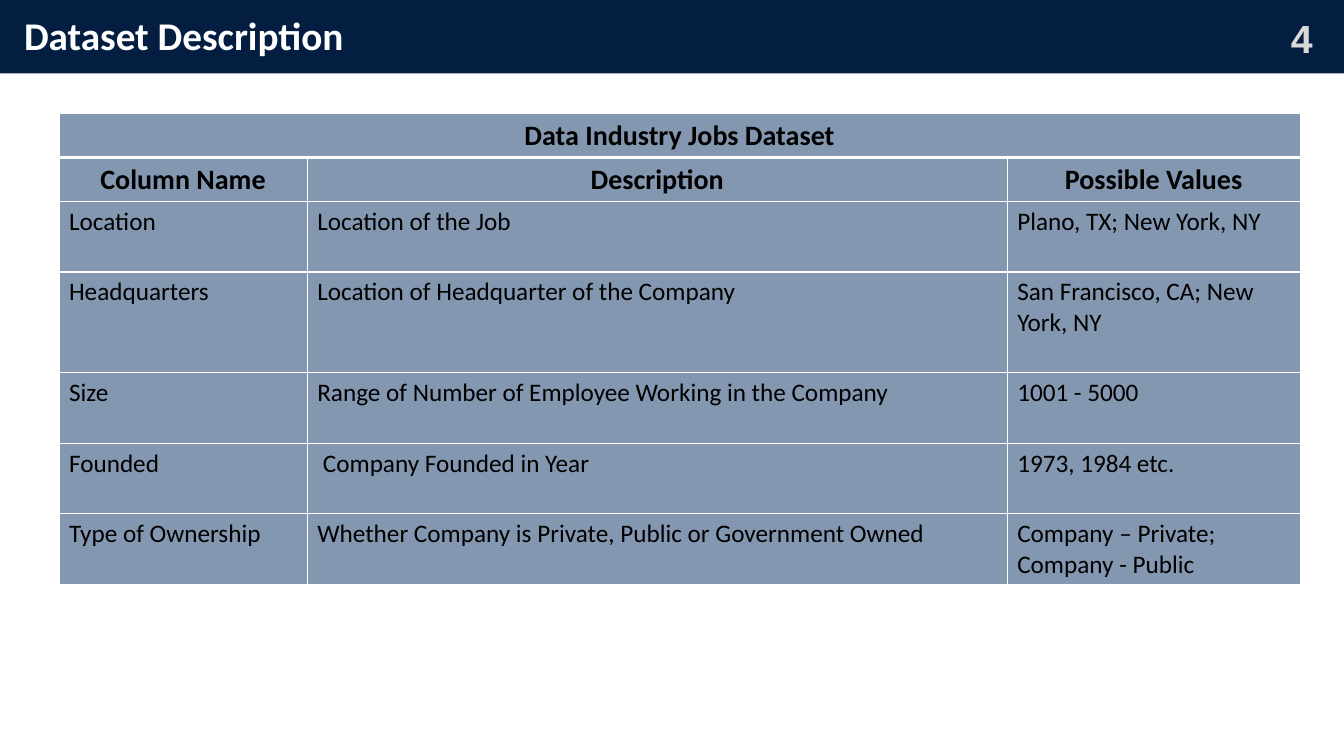
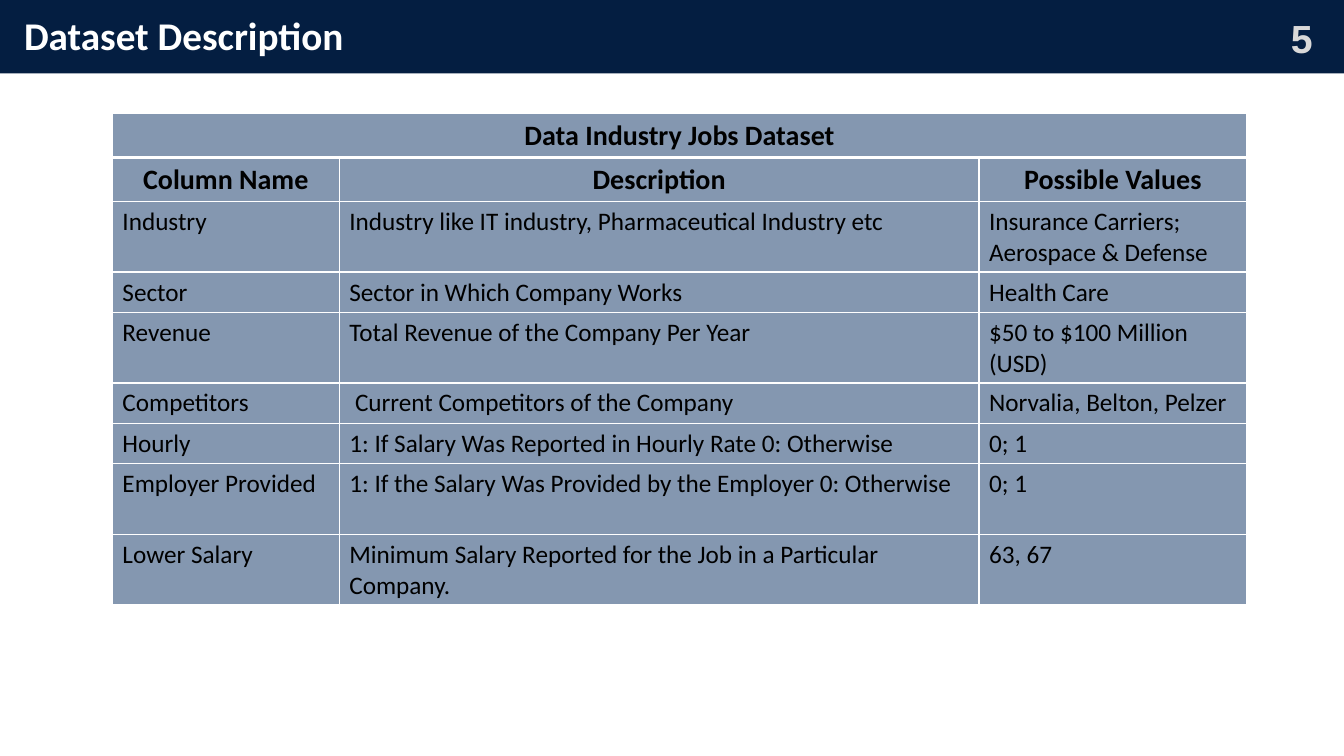
from dataclasses import dataclass

from lxml.etree import SubElement
from pptx import Presentation
from pptx.dml.color import RGBColor
from pptx.enum.shapes import MSO_SHAPE
from pptx.enum.text import MSO_ANCHOR, PP_ALIGN
from pptx.oxml.ns import qn
from pptx.util import Inches, Pt


@dataclass(frozen=True)
class Theme:
    band: str = "041E41"
    title: str = "FFFFFF"
    number: str = "D9D9D9"
    cell: str = "8497B0"
    rule: str = "FFFFFF"
    ink: str = "000000"
    font: str = "Calibri"
    number_font: str = "Arial"
    title_size: int = 28
    heading_size: int = 20
    body_size: int = 18
    thin: int = 1
    thick: int = 3


THEME = Theme()
SLIDE_W, SLIDE_H = 13.33, 7.5
BAND_H = 0.73
TABLE_TOP, TABLE_CENTER = 1.13, 6.74
COLUMN_SHARES = (0.2, 0.564, 0.236)
HEADING_H, LINE_H, CELL_PADDING = 0.43, 0.3, 0.1

TITLE = "Dataset Description"
CAPTION = "Data Industry Jobs Dataset"
HEADINGS = ("Column Name", "Description", "Possible Values")

# Each entry: the table's width, then rows of (lines of height, *cell texts)
PAGES = {
    4: (12.31, [
        (2, "Location", "Location of the Job", "Plano, TX; New York, NY"),
        (3, "Headquarters", "Location of Headquarter of the Company",
         "San Francisco, CA; New York, NY"),
        (2, "Size", "Range of Number of Employee Working in the Company",
         "1001 - 5000"),
        (2, "Founded", " Company Founded in Year", "1973, 1984 etc."),
        (2, "Type of Ownership",
         "Whether Company is Private, Public or Government Owned",
         "Company – Private;\nCompany - Public"),
    ]),
    5: (11.25, [
        (2, "Industry", "Industry like IT industry, Pharmaceutical Industry etc",
         "Insurance Carriers; Aerospace & Defense"),
        (1, "Sector", "Sector in Which Company Works", "Health Care"),
        (2, "Revenue", "Total Revenue of the Company Per Year",
         "$50 to $100 Million (USD)"),
        (1, "Competitors", " Current Competitors of the Company",
         "Norvalia, Belton, Pelzer"),
        (1, "Hourly", "1: If Salary Was Reported in Hourly Rate 0: Otherwise",
         "0; 1"),
        (2, "Employer Provided",
         "1: If the Salary Was Provided by the Employer 0: Otherwise", "0; 1"),
        (2, "Lower Salary",
         "Minimum Salary Reported for the Job in a Particular Company.",
         "63, 67"),
    ]),
}


def write_text(frame, text, size, color=THEME.ink, font=THEME.font, bold=False,
               align=PP_ALIGN.LEFT, spacing=None):
    """Fill a text frame, one paragraph for each line of text."""
    frame.word_wrap = True
    for index, line in enumerate(text.split("\n")):
        paragraph = frame.add_paragraph() if index else frame.paragraphs[0]
        paragraph.alignment = align
        paragraph.line_spacing = spacing
        run = paragraph.add_run()
        run.text = line
        run.font.size = Pt(size)
        run.font.name = font
        run.font.bold = bold
        run.font.color.rgb = RGBColor.from_string(color)


def add_label(slide, left, top, width, height, text, **text_format):
    label = slide.shapes.add_textbox(*map(Inches, (left, top, width, height)))
    label.text_frame.vertical_anchor = MSO_ANCHOR.MIDDLE
    write_text(label.text_frame, text, size=THEME.title_size, bold=True,
               **text_format)


def add_header(slide, number):
    band = slide.shapes.add_shape(MSO_SHAPE.RECTANGLE, 0, 0,
                                  Inches(SLIDE_W), Inches(BAND_H))
    band.shadow.inherit = False
    band.fill.solid()
    band.fill.fore_color.rgb = RGBColor.from_string(THEME.band)
    band.line.fill.background()
    add_label(slide, 12.49, 0.09, 0.84, 0.57, str(number), color=THEME.number,
              font=THEME.number_font, align=PP_ALIGN.CENTER)
    add_label(slide, 0.14, 0.11, 12.37, 0.53, TITLE, color=THEME.title,
              spacing=0.9)


def set_borders(cell, top, bottom):
    properties = cell._tc.get_or_add_tcPr()
    widths = {"lnL": THEME.thin, "lnR": THEME.thin, "lnT": top, "lnB": bottom}
    for side, width in widths.items():
        line = SubElement(properties, qn(f"a:{side}"), w=str(Pt(width)))
        fill = SubElement(line, qn("a:solidFill"))
        SubElement(fill, qn("a:srgbClr"), val=THEME.rule)


def style_cell(cell, row):
    """Apply borders and fill; a thick rule parts the caption from the rest."""
    set_borders(cell, top=THEME.thick if row == 1 else THEME.thin,
                bottom=THEME.thick if row == 0 else THEME.thin)
    cell.fill.solid()
    cell.fill.fore_color.rgb = RGBColor.from_string(THEME.cell)


def add_dataset_table(slide, width, entries):
    heights = [HEADING_H] * 2
    heights += [CELL_PADDING + LINE_H * lines for lines, *_ in entries]
    rows = [(CAPTION,), HEADINGS] + [texts for _, *texts in entries]
    table = slide.shapes.add_table(
        len(rows), len(COLUMN_SHARES), Inches(TABLE_CENTER - width / 2),
        Inches(TABLE_TOP), Inches(width), Inches(sum(heights))).table
    table.first_row = table.horz_banding = False
    for column, share in zip(table.columns, COLUMN_SHARES):
        column.width = Inches(width * share)
    table.cell(0, 0).merge(table.cell(0, len(COLUMN_SHARES) - 1))

    heading = dict(size=THEME.heading_size, bold=True, align=PP_ALIGN.CENTER)
    body = dict(size=THEME.body_size)
    for index, (texts, height) in enumerate(zip(rows, heights)):
        table.rows[index].height = Inches(height)
        for cell in table.rows[index].cells:
            style_cell(cell, index)
        for column, text in enumerate(texts):
            write_text(table.cell(index, column).text_frame, text,
                       **(heading if index < 2 else body))


def main():
    deck = Presentation()
    deck.slide_width, deck.slide_height = Inches(SLIDE_W), Inches(SLIDE_H)
    blank = deck.slide_layouts[6]
    for number, (width, entries) in PAGES.items():
        slide = deck.slides.add_slide(blank)
        add_header(slide, number)
        add_dataset_table(slide, width, entries)
    deck.save("out.pptx")


if __name__ == "__main__":
    main()
